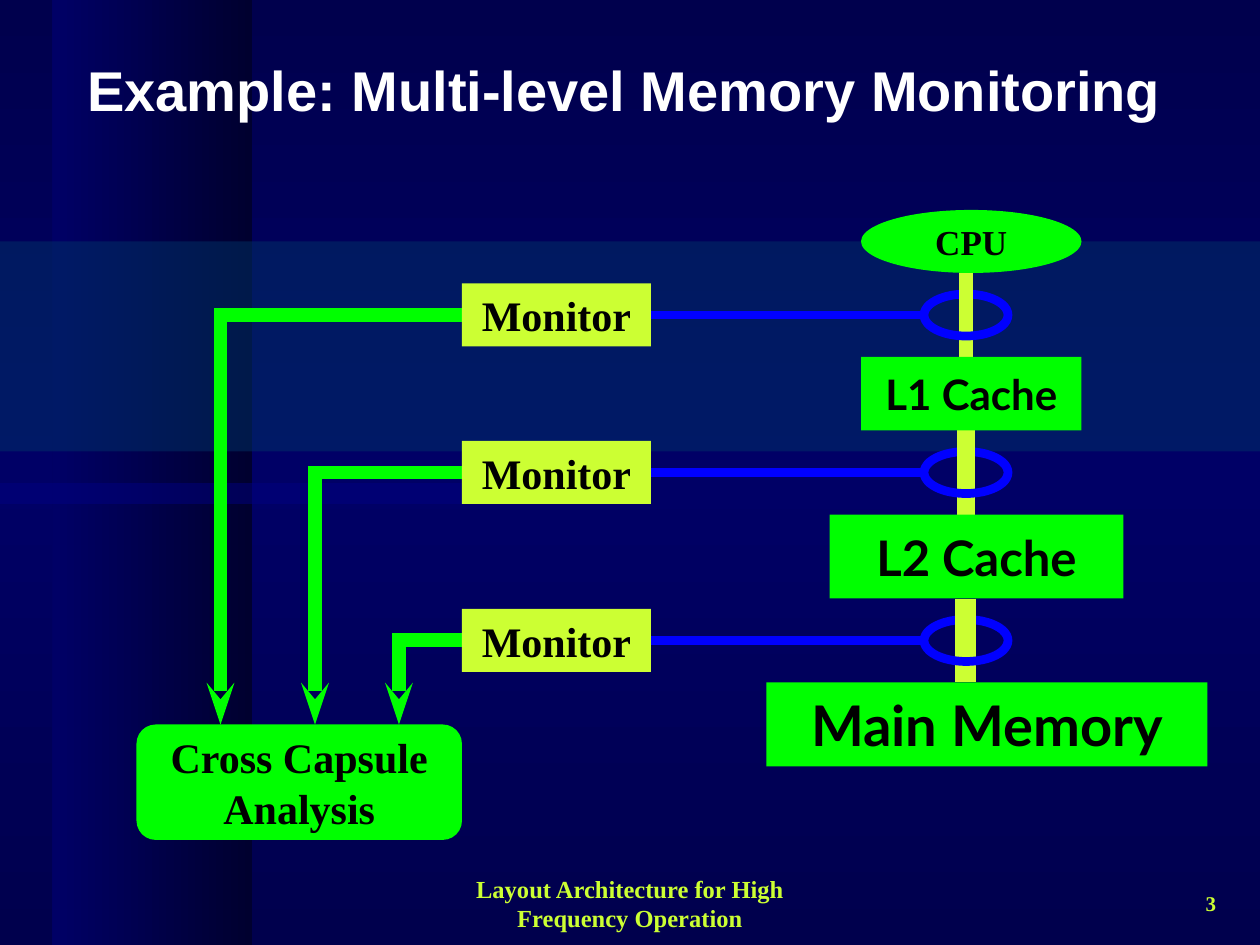
from copy import deepcopy
from lxml import etree
from pptx import Presentation
from pptx import util as u
from pptx.dml.color import RGBColor
from pptx.enum import shapes, text
from pptx.oxml.ns import qn

PX = 9525  # 96 px to the inch
NIGHT = RGBColor(0x00, 0x00, 0x4D)
DARK = RGBColor(0x00, 0x00, 0x2F)
INDIGO = RGBColor(0x00, 0x00, 0x66)
NAVY = RGBColor(0x00, 0x00, 0x80)
TEAL = RGBColor(0x00, 0x33, 0x66)
GREEN = RGBColor(0x00, 0xFF, 0x00)
LIME = RGBColor(0xCC, 0xFF, 0x33)
BLUE = RGBColor(0x00, 0x00, 0xFF)
BLACK = RGBColor(0x00, 0x00, 0x00)
WHITE = RGBColor(0xFF, 0xFF, 0xFF)
SERIF, SANS, HEAD = "Times New Roman", "Lato", "Arial"
RECT = shapes.MSO_SHAPE.RECTANGLE
ROUND = shapes.MSO_SHAPE.ROUNDED_RECTANGLE
OVAL = shapes.MSO_SHAPE.OVAL

prs = Presentation()
prs.slide_width, prs.slide_height = 960 * PX, 720 * PX
s = prs.slides.add_slide(prs.slide_layouts[5])


def add_box(kind, x, y, w, h, fill=None, label="", size=24, font=SERIF):
    sp = s.shapes.add_shape(kind, x * PX, y * PX, w * PX, h * PX)
    sp.shadow.inherit = False
    sp.line.fill.background()
    if fill is None:
        sp.fill.background()
    else:
        sp.fill.solid()
        sp.fill.fore_color.rgb = fill
    if label:
        tf = sp.text_frame
        tf.word_wrap = False
        tf.vertical_anchor = text.MSO_ANCHOR.MIDDLE
        p = tf.paragraphs[0]
        p.alignment = text.PP_ALIGN.CENTER
        for i, words in enumerate(label.split("\n")):
            if i:
                p.add_line_break()
            r = p.add_run()
            r.text = words
            r.font.name, r.font.size, r.font.bold = font, u.Pt(size), True
            r.font.color.rgb = BLACK
    return sp


def add_line(x1, y1, x2, y2, color, width, cap="flat", arrow=False):
    c = s.shapes.add_connector(shapes.MSO_CONNECTOR.STRAIGHT,
                               x1 * PX, y1 * PX, x2 * PX, y2 * PX)
    c.line.color.rgb = color
    c.line.width = u.Pt(width)
    ln = c.line._get_or_add_ln()
    ln.set("cap", cap)
    if arrow:
        etree.SubElement(ln, qn("a:tailEnd"), type="stealth", w="sm", len="med")
    etree.SubElement(c.element.spPr, qn("a:effectLst"))


# Background gradient, dark at both ends
bg = s.background.fill
bg.gradient()
bg.gradient_angle = 90
edge, middle = bg.gradient_stops
edge.color.rgb, edge.position = NIGHT, 0
middle.color.rgb, middle.position = INDIGO, 0.5
stops = s.element.find(".//" + qn("a:gsLst"))
last = deepcopy(stops[0])
last.set("pos", "100000")
stops.append(last)

# Background bands
column = add_box(RECT, 40, 0, 152, 720, DARK)
column.fill.gradient()
column.fill.gradient_angle = 180
for stop, color, pos in zip(column.fill.gradient_stops, (DARK, INDIGO), (0, 1)):
    stop.color.rgb, stop.position = color, pos
for x, y, w, h, color in [(0, 368, 496, 16, NAVY), (0, 184, 960, 160, TEAL)]:
    band = add_box(RECT, x, y, w, h, color)
    rgb = band.element.spPr.find(".//" + qn("a:srgbClr"))
    etree.SubElement(rgb, qn("a:alpha"), val="50000")

# Title, kept in front of the bands
title = s.shapes.title
column.element.getparent().append(title.element)
title.left, title.top, title.width, title.height = 32 * PX, 24 * PX, 912 * PX, 88 * PX
tf = title.text_frame
tf.word_wrap, tf.auto_size = True, text.MSO_AUTO_SIZE.NONE
tf.vertical_anchor = text.MSO_ANCHOR.MIDDLE
p = tf.paragraphs[0]
p.alignment = text.PP_ALIGN.LEFT
pPr = p._p.get_or_add_pPr()
pPr.set("marL", str(25 * PX))
pPr.set("indent", "0")
r = p.add_run()
r.text = "Example: Multi-level Memory Monitoring"
r.font.name, r.font.size, r.font.bold = HEAD, u.Pt(32), True
r.font.color.rgb = WHITE

# One level per monitor: centre, analysis line x, arrow start,
# bus top and bottom, bus width
levels = [(240, 168, 240, 208, 272, 8),
          (360, 240, 360, 328, 400, 10),
          (488, 304, 496, 456, 520, 12)]
BUS = 736

# Monitor results flowing to the analysis
for y, x, start, top, bottom, width in levels:
    add_line(352, y, x, y, GREEN, 8, cap="sq")
    add_line(x, start, x, 552, GREEN, 8, cap="sq", arrow=True)
add_box(ROUND, 104, 552, 248, 88, GREEN, "Cross Capsule\nAnalysis")

# Probe rings around the bus: lower half behind, upper half in front
for y, x, start, top, bottom, width in levels:
    add_line(BUS, y, BUS, bottom, LIME, width)
    ring = add_box(OVAL, BUS - 32, y - 16, 64, 32)
    ring.line.color.rgb = BLUE
    ring.line.width = u.Pt(5)
    add_line(BUS - 32, y, 496, y, BLUE, 5)
    add_box(RECT, 352, y - 24, 144, 48, LIME, "Monitor")
    add_line(BUS, top, BUS, y, LIME, width)

# Memory hierarchy
for kind, x, y, w, h, label, size, font in [
        (OVAL, 656, 160, 168, 48, "CPU", 20, SERIF),
        (RECT, 656, 272, 168, 56, "L1 Cache", 24, SANS),
        (RECT, 632, 392, 224, 64, "L2 Cache", 28, SANS),
        (RECT, 584, 520, 336, 64, "Main Memory", 32, SANS)]:
    add_box(kind, x, y, w, h, GREEN, label, size, font)

# Footer and slide number
for x, w, words, size, align in [
        (328, 304, "Layout Architecture for High Frequency Operation", 14,
         text.PP_ALIGN.CENTER),
        (736, 200, "3", 12, text.PP_ALIGN.RIGHT)]:
    tf = s.shapes.add_textbox(x * PX, 664 * PX, w * PX, 48 * PX).text_frame
    tf.word_wrap = True
    tf.vertical_anchor = text.MSO_ANCHOR.MIDDLE
    p = tf.paragraphs[0]
    p.alignment = align
    r = p.add_run()
    r.text = words
    r.font.name, r.font.size, r.font.bold = SERIF, u.Pt(size), True
    r.font.color.rgb = LIME

prs.save("out.pptx")
